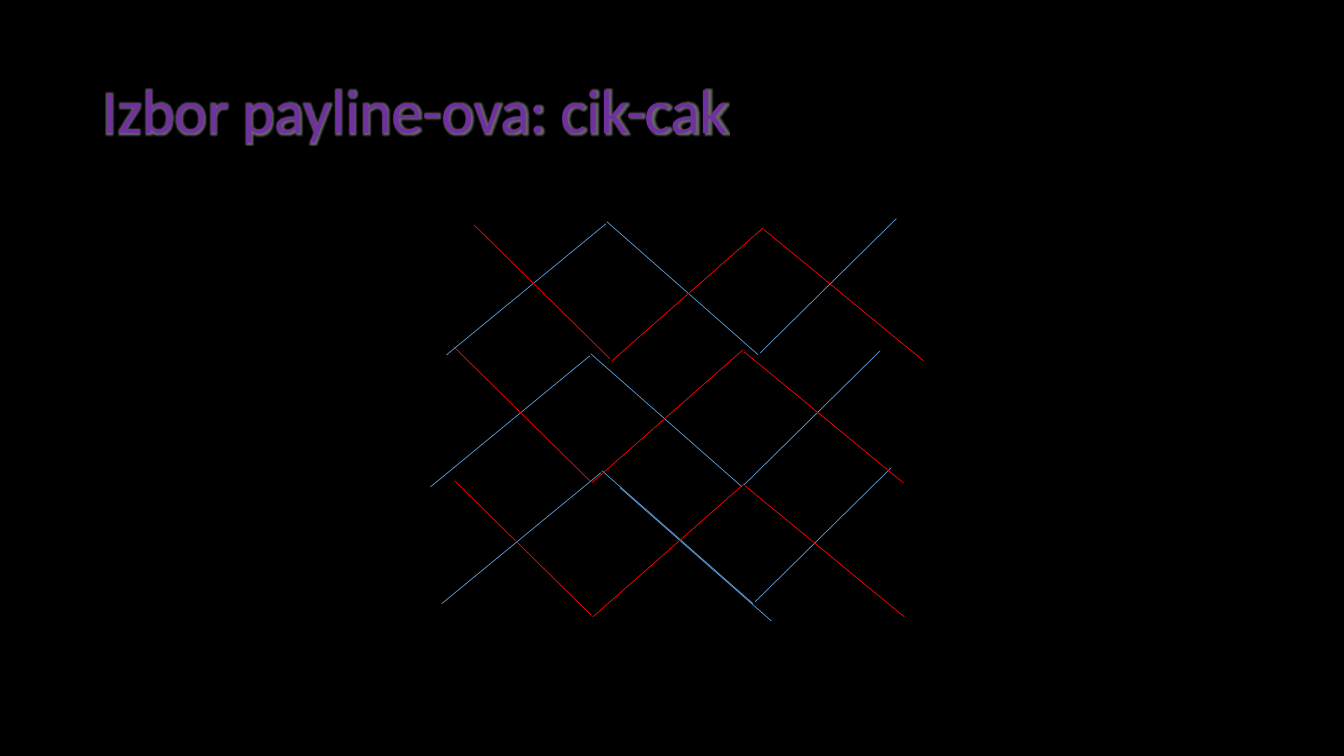
from lxml import etree
from pptx import Presentation
from pptx.dml.color import RGBColor
from pptx.enum.shapes import MSO_CONNECTOR as Connector
from pptx.enum.text import MSO_ANCHOR as Anchor
from pptx.oxml import parse_xml
from pptx.oxml.ns import nsdecls, qn
from pptx.util import Inches, Pt

COLORS = {
    "background": "000000",
    "title": "7030A0",
    "glow": "FFFFFF",
    "blue": "5B9BD5",
    "red": "FF0000",
}

# Three strokes of one zigzag, relative to its starting point
ZIGZAG = [
    ((0, 0), (1.58, -1.3)),
    ((1.59, -1.32), (3.09, 0)),
    ((3.11, -0.02), (4.46, -1.35)),
]
BLUE_STARTS = [(4.43, 3.52), (4.27, 4.83), (4.38, 5.99)]
RED_STARTS = [(8.97, 6.12), (8.96, 4.79), (9.16, 3.58)]


def rgb(name):
    return RGBColor.from_string(COLORS[name])


def add_glow(run, color, radius, opacity):
    """Put a thin outline and a soft glow around the letters."""
    properties = run.font._element if hasattr(run.font, "_element") else run._r.get_or_add_rPr()
    fill = f'<a:srgbClr val="{COLORS[color]}"/>'
    outline = parse_xml(
        f'<a:ln {nsdecls("a")} w="{Pt(0.75)}"><a:solidFill>{fill}</a:solidFill></a:ln>')
    effects = parse_xml(
        f'<a:effectLst {nsdecls("a")}><a:glow rad="{Pt(radius)}">'
        f'<a:srgbClr val="{COLORS[color]}"><a:alpha val="{opacity * 1000}"/></a:srgbClr>'
        f'</a:glow></a:effectLst>')
    properties.insert(0, outline)
    properties.find(qn("a:solidFill")).addnext(effects)


def add_text(slide, text, *, left, top, width, height, size, color, font, spacing):
    box = slide.shapes.add_textbox(Inches(left), Inches(top), Inches(width), Inches(height))
    frame = box.text_frame
    frame.word_wrap = True
    frame.vertical_anchor = Anchor.MIDDLE
    paragraph = frame.paragraphs[0]
    paragraph.line_spacing = spacing
    run = paragraph.add_run()
    run.text = text
    run.font.size = Pt(size)
    run.font.name = font
    run.font.color.rgb = rgb(color)
    return run


def add_line(shapes, start, end, color):
    points = [Inches(value) for value in (*start, *end)]
    line = shapes.add_connector(Connector.STRAIGHT, *points)
    line.line.color.rgb = rgb(color)
    line.line.width = Pt(0.5)
    etree.SubElement(line._element.spPr, qn("a:effectLst"))


def add_zigzag(slide, origin, color, direction):
    """Draw a zigzag to the right (1) or mirrored to the left (-1)."""
    left, top = origin
    group = slide.shapes.add_group_shape()
    for stroke in ZIGZAG:
        start, end = [(left + direction * x, top + y) for x, y in stroke]
        add_line(group.shapes, start, end, color)


def main():
    presentation = Presentation()
    presentation.slide_width = Inches(13.33)
    presentation.slide_height = Inches(7.5)
    slide = presentation.slides.add_slide(presentation.slide_layouts[6])
    slide.background.fill.solid()
    slide.background.fill.fore_color.rgb = rgb("background")

    # Title
    title = add_text(slide, "Izbor payline-ova: cik-cak", left=0.92, top=0.4, width=11.5,
                     height=1.45, size=44, color="title", font="Calibri", spacing=0.9)
    add_glow(title, "glow", radius=3, opacity=40)

    # Blue paylines, with one extra stroke
    for origin in BLUE_STARTS:
        add_zigzag(slide, origin, "blue", 1)
    add_line(slide.shapes, (6.15, 4.84), (7.65, 6.16), "blue")

    # Red paylines, mirrored
    for origin in RED_STARTS:
        add_zigzag(slide, origin, "red", -1)

    presentation.save("out.pptx")


if __name__ == "__main__":
    main()
